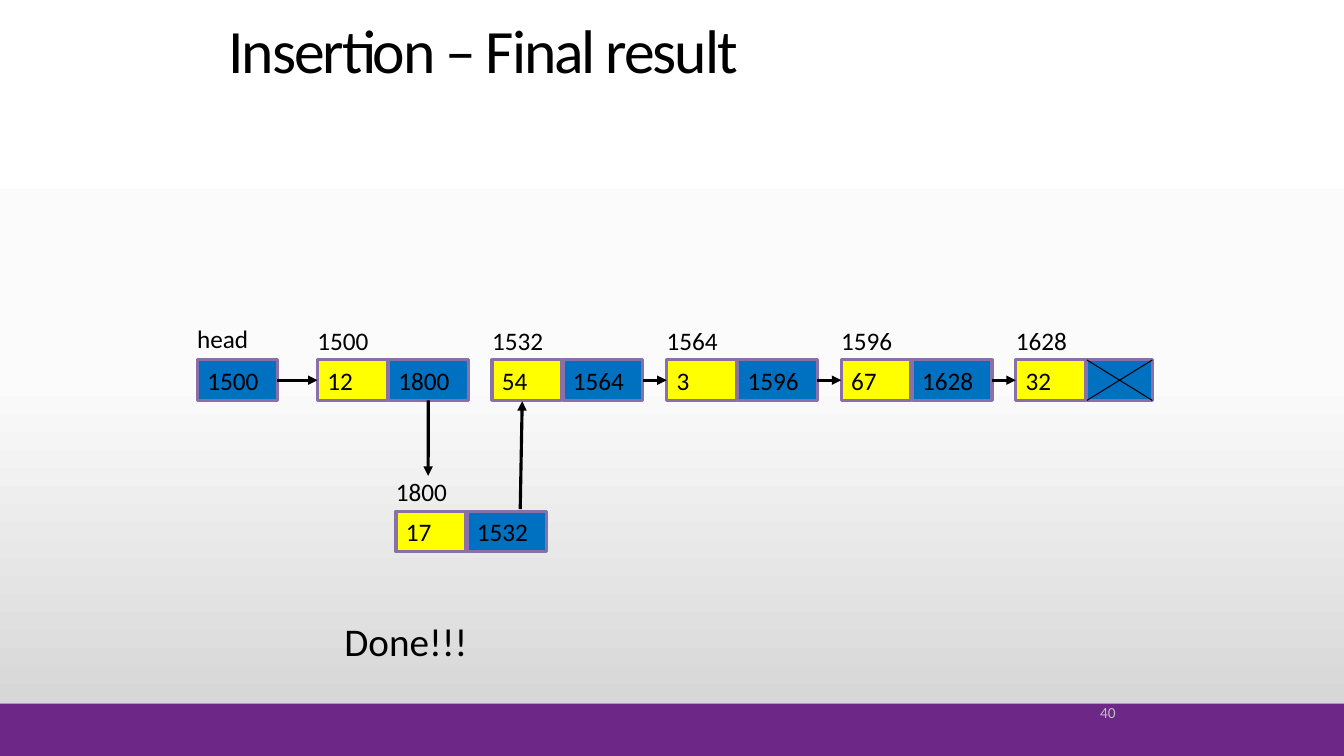
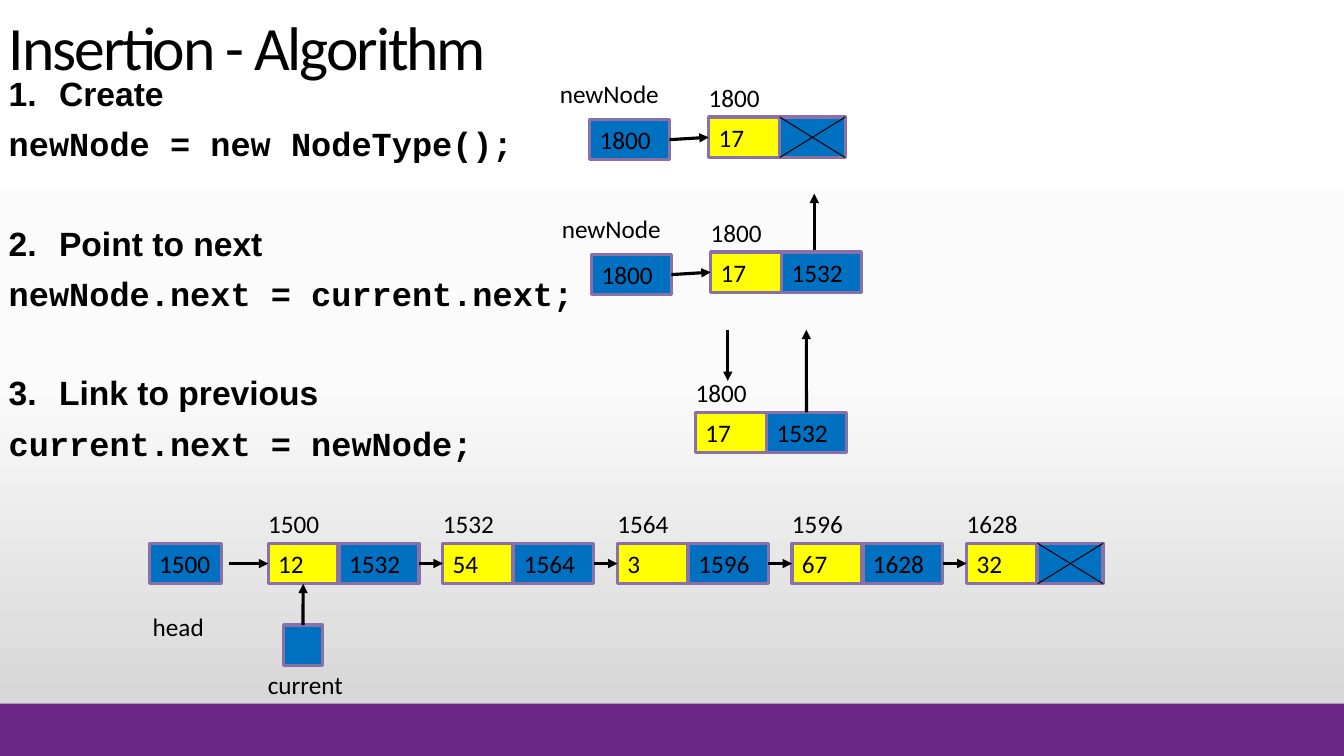
from copy import deepcopy

from lxml.etree import SubElement
from pptx import Presentation
from pptx.dml.color import RGBColor
from pptx.enum.shapes import MSO_CONNECTOR, MSO_SHAPE
from pptx.enum.text import MSO_ANCHOR as Anchor, PP_ALIGN as Align
from pptx.oxml.ns import qn
from pptx.util import Cm, Pt

BLACK = RGBColor(0, 0, 0)
WHITE = RGBColor(0xFF, 0xFF, 0xFF)
NEAR_WHITE = RGBColor(0xFB, 0xFB, 0xFB)
SILVER = RGBColor(0xD1, 0xD1, 0xD1)
NUMBER_GREY = RGBColor(0xBF, 0xBF, 0xBF)
PURPLE = RGBColor(0x6C, 0x27, 0x87)
MAUVE = RGBColor(0x89, 0x70, 0xA9)
BLUE = RGBColor(0, 0x70, 0xC0)
YELLOW = RGBColor(0xFF, 0xFF, 0)

TOP, LEFT, BOTTOM, RIGHT = range(4)  # connection sites of a rectangle

# Lengths in centimetres
PAGE_WIDTH, PAGE_HEIGHT = 33.87, 19.05
BAND_TOP = 17.73
CELL_HEIGHT = 1.02
VALUE_WIDTH, NEW_VALUE_WIDTH = 1.76, 1.93
LINK_OFFSET, LINK_WIDTH, NULL_WIDTH = 1.79, 2.01, 1.65
NODE_PITCH = 4.4
LABEL_SHIFT, LABEL_RISE = 0.25, 1.0
ADDRESS_WIDTH = 1.83

# Nodes: address, value, link (None for the end of the list)
TAIL_NODES = [("1532", "54", "1564"), ("1564", "3", "1596"),
              ("1596", "67", "1628"), ("1628", "32", None)]
LIST_AFTER = [("1500", "12", "1800")] + TAIL_NODES
LIST_BEFORE = [("1500", "12", "1532")] + TAIL_NODES

# New node in steps 1 and 2: left, top, link
CREATION_STEPS = [(17.86, 2.95, None), (17.91, 6.35, "1532")]

ALGORITHM = [("Create", "newNode = new NodeType();"),
             ("Point to next", "newNode.next = current.next;"),
             ("Link to previous", "current.next = newNode;")]


def write(frame, text, size=18, font="Calibri", color=BLACK, bold=False, align=Align.LEFT,
          line_spacing=None, before=0, tracking=None, number=None):
    """Add a paragraph to a text frame, filling the first one if it is empty."""
    para = frame.paragraphs[0] if not frame.text else frame.add_paragraph()
    if number:
        props = para._p.get_or_add_pPr()
        props.set("marL", str(Cm(1.27)))
        props.set("indent", str(-Cm(1.27)))
        SubElement(props, qn("a:buAutoNum"), type="arabicPeriod", startAt=str(number))
    para.alignment = align
    para.space_before = Pt(before)
    if line_spacing:
        para.line_spacing = line_spacing
    span = para.add_run()
    span.text = text
    span.font.size, span.font.name, span.font.bold = Pt(size), font, bold
    span.font.color.rgb = color
    if tracking:
        span._r.get_or_add_rPr().set("spc", str(int(tracking * 100)))


def add_frame(slide, left, top, width, height, anchor=Anchor.TOP):
    frame = slide.shapes.add_textbox(Cm(left), Cm(top), Cm(width), Cm(height)).text_frame
    frame.word_wrap = True
    frame.vertical_anchor = anchor
    return frame


def add_label(slide, left, top, text, width=ADDRESS_WIDTH):
    write(add_frame(slide, left, top, width, CELL_HEIGHT), text)


def add_rectangle(slide, left, top, width, height, fill):
    box = slide.shapes.add_shape(MSO_SHAPE.RECTANGLE, Cm(left), Cm(top), Cm(width), Cm(height))
    box.shadow.inherit = False
    box.fill.solid()
    box.fill.fore_color.rgb = fill
    box.line.fill.background()
    return box


def add_cell(slide, left, top, width, fill, text=None):
    cell = add_rectangle(slide, left, top, width, CELL_HEIGHT, fill)
    cell.line.color.rgb = MAUVE
    cell.line.width = Pt(2.25)
    cell.text_frame.vertical_anchor = Anchor.TOP
    if text:
        write(cell.text_frame, text)
    return cell


def add_line(slide, start, end, width):
    line = slide.shapes.add_connector(MSO_CONNECTOR.STRAIGHT, *map(Cm, start + end))
    line.line.color.rgb = BLACK
    line.line.width = Pt(width)
    SubElement(line._element.spPr, qn("a:effectLst"))
    return line


def add_arrow(slide, start=(0, 0), end=(0, 0), source=None, target=None):
    """Draw an arrow between points; source and target are (cell, side) joins."""
    arrow = add_line(slide, start, end, 2.25)
    SubElement(arrow.line._get_or_add_ln(), qn("a:tailEnd"), type="triangle")
    if source:
        arrow.begin_connect(*source)
    if target:
        arrow.end_connect(*target)


def add_node(slide, left, top, address, value, link, value_width=VALUE_WIDTH):
    """Draw a list node with its address above; return the value and link cells."""
    link_left = left + LINK_OFFSET
    value_cell = add_cell(slide, left, top, value_width, YELLOW, value)
    link_cell = add_cell(slide, link_left, top, LINK_WIDTH if link else NULL_WIDTH, BLUE, link)
    if not link:
        right, bottom = link_left + NULL_WIDTH, top + CELL_HEIGHT
        add_line(slide, (link_left, top), (right, bottom), 0.75)
        add_line(slide, (right, top), (link_left, bottom), 0.75)
    add_label(slide, left - LABEL_SHIFT, top - LABEL_RISE, address)
    return value_cell, link_cell


def add_list(slide, left, top, nodes):
    """Draw a row of nodes, with an arrow wherever a link holds the next address."""
    cells = [add_node(slide, left + index * NODE_PITCH, top, *node)
             for index, node in enumerate(nodes)]
    for index in range(len(nodes) - 1):
        if nodes[index][2] == nodes[index + 1][0]:
            add_arrow(slide, source=(cells[index][1], RIGHT),
                      target=(cells[index + 1][0], LEFT))
    return cells


def add_pointer(slide, left, top, address, target):
    cell = add_cell(slide, left, top, LINK_WIDTH, BLUE, address)
    add_arrow(slide, source=(cell, RIGHT), target=(target, LEFT))


def set_background(master):
    fill = master.background.fill
    fill.gradient()
    fill.gradient_angle = 270
    stop_list = master.element.find(".//" + qn("a:gsLst"))
    stop_list.insert(1, deepcopy(stop_list[0]))
    for stop, position, color in zip(fill.gradient_stops, (0, 0.5, 1),
                                     (WHITE, NEAR_WHITE, SILVER)):
        stop.position = position
        stop.color.rgb = color


def add_page(deck, title, left, top, height):
    """Add a slide with the footer band and its title."""
    slide = deck.slides.add_slide(deck.slide_layouts[6])
    add_rectangle(slide, 0, BAND_TOP, PAGE_WIDTH, PAGE_HEIGHT - BAND_TOP, PURPLE)
    write(add_frame(slide, left, top, 20.96, height, Anchor.BOTTOM), title,
          size=44, line_spacing=0.9, tracking=-1.5)
    return slide


def build_result(deck):
    slide = add_page(deck, "Insertion – Final result", 5.51, 0.33, 1.98)
    top = 9.07
    cells = add_list(slide, 8.0, top, LIST_AFTER)
    add_pointer(slide, 4.98, top, "1500", cells[0][0])
    add_label(slide, 4.72, top - 1.04, "head")
    add_node(slide, 9.98, 12.88, "1800", "17", "1532")
    add_arrow(slide, end=(10.79, 11.99), source=(cells[0][1], BOTTOM))
    add_arrow(slide, (13.11, 12.83), (13.16, 10.11))
    write(add_frame(slide, 8.43, 15.44, 5.16, 1.45), "Done!!!", size=28)
    write(add_frame(slide, 22.45, 17.32, 5.92, 1.27, Anchor.MIDDLE), "40",
          size=11, color=NUMBER_GREY, align=Align.RIGHT)


def build_algorithm(deck):
    slide = add_page(deck, "Insertion - Algorithm", -0.03, 0.05, 2.18)
    body = add_frame(slide, -0.03, 1.83, 23.24, 13.16)
    for number, (step, code) in enumerate(ALGORITHM, 1):
        write(body, step, size=24, font="Arial", bold=True, line_spacing=0.9,
              before=0 if number == 1 else 45, number=number)
        write(body, code, size=24, font="Courier New", bold=True, line_spacing=0.9, before=10)

    for left, top, link in CREATION_STEPS:
        value_cell, _ = add_node(slide, left, top, "1800", "17", link, NEW_VALUE_WIDTH)
        add_pointer(slide, left - 3, top + 0.06, "1800", value_cell)
        add_label(slide, left - 4, top - 1.1, "newNode", 3.05)
    add_arrow(slide, (20.52, 6.3), (20.52, 4.88))

    _, link_cell = add_node(slide, 17.53, 10.39, "1800", "17", "1532", NEW_VALUE_WIDTH)
    add_arrow(slide, end=(20.32, 8.31), source=(link_cell, TOP))
    add_arrow(slide, (18.34, 8.31), (18.34, 9.6))

    top = 13.69
    first_value = add_list(slide, 6.76, top, LIST_BEFORE)[0][0]
    add_cell(slide, 3.76, top, ADDRESS_WIDTH, BLUE, "1500")
    add_arrow(slide, (5.77, top + CELL_HEIGHT / 2), target=(first_value, LEFT))
    add_label(slide, 3.6, 15.27, "head")
    current = add_cell(slide, 7.15, 15.75, 0.97, BLUE)
    add_arrow(slide, source=(current, TOP), target=(first_value, BOTTOM))
    add_label(slide, 6.5, 16.74, "current", 2.5)


def main():
    deck = Presentation()
    deck.slide_width, deck.slide_height = Cm(PAGE_WIDTH), Cm(PAGE_HEIGHT)
    set_background(deck.slide_master)
    build_result(deck)
    build_algorithm(deck)
    deck.save("out.pptx")


if __name__ == "__main__":
    main()
